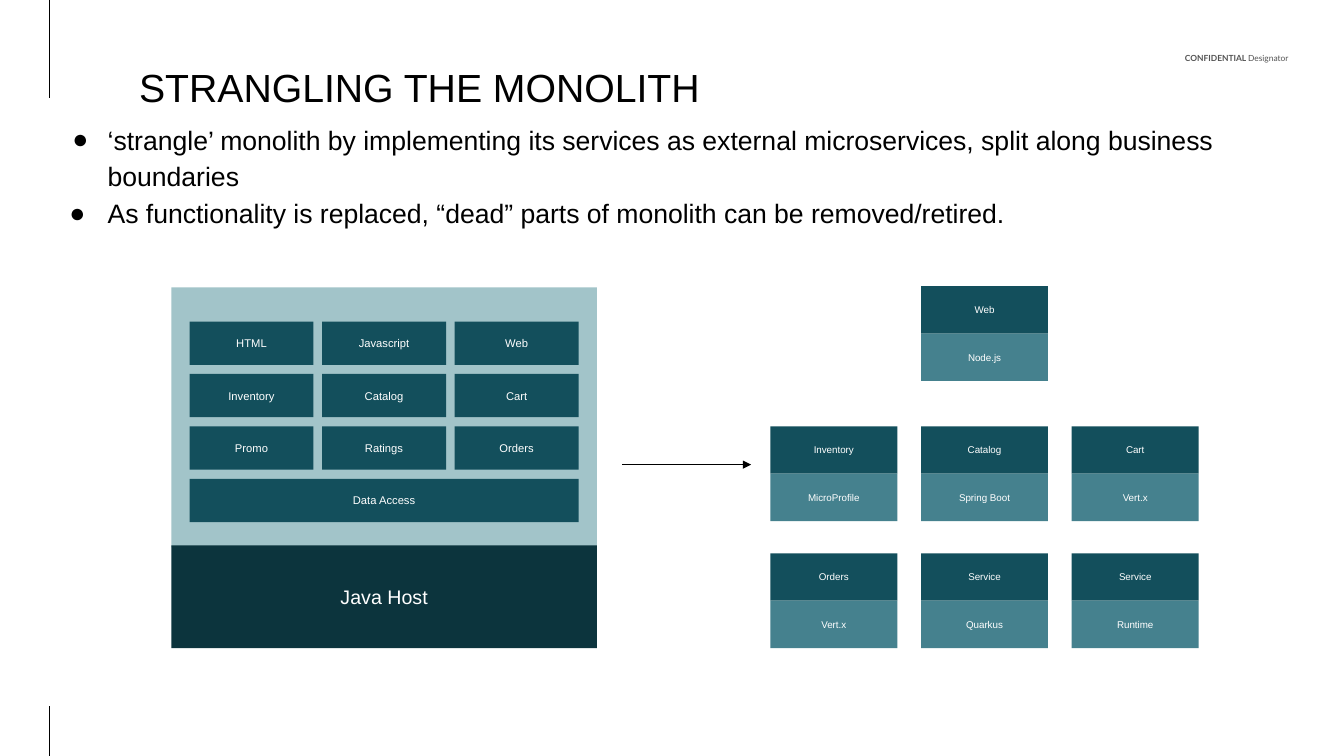
from lxml.etree import SubElement
from pptx import Presentation
from pptx.dml.color import RGBColor
from pptx.enum.shapes import MSO_CONNECTOR as Connector, MSO_SHAPE as Shape
from pptx.enum.text import MSO_ANCHOR as Anchor, MSO_AUTO_SIZE as AutoSize, PP_ALIGN as Align
from pptx.oxml.ns import qn
from pptx.util import Inches, Pt

TITLE = "STRANGLING THE MONOLITH"
BULLETS = [
    ("‘strangle’ monolith by implementing its services as external microservices, "
     "split along business boundaries", 0.35),
    ("As functionality is replaced, “dead” parts of monolith can be removed/retired.", 0.38),
]
MARKING = [("CONFIDENTIAL ", True), ("Designator", False)]
MODULES = [
    ["HTML", "Javascript", "Web"],
    ["Inventory", "Catalog", "Cart"],
    ["Promo", "Ratings", "Orders"],
]
DATA_LAYER = "Data Access"
PLATFORM = "Java Host"
SERVICES = [
    (2.84, [None, ("Web", "Node.js"), None]),
    (4.23, [("Inventory", "MicroProfile"), ("Catalog", "Spring Boot"), ("Cart", "Vert.x")]),
    (5.49, [("Orders", "Vert.x"), ("Service", "Quarkus"), ("Service", "Runtime")]),
]

BLACK = RGBColor(0x00, 0x00, 0x00)
WHITE = RGBColor(0xFF, 0xFF, 0xFF)
GRAY = RGBColor(0x53, 0x53, 0x53)
DARK = RGBColor(0x0C, 0x34, 0x3D)
TEAL = RGBColor(0x13, 0x4F, 0x5C)
MEDIUM = RGBColor(0x45, 0x81, 0x8E)
PALE = RGBColor(0xA2, 0xC4, 0xC9)

MODULE_LEFT, MODULE_TOP, MODULE_WIDTH, MODULE_HEIGHT = 1.88, 3.19, 1.23, 0.43
MODULE_SPAN, MODULE_ROW_STEP = 3.86, 0.52
MODULE_STEP = (MODULE_SPAN - MODULE_WIDTH) / 2
SERVICE_LEFT, SERVICE_WIDTH, SERVICE_HEIGHT, SERVICE_SPAN = 7.64, 1.26, 0.47, 4.25
SERVICE_STEP = (SERVICE_SPAN - SERVICE_WIDTH) / 2


def set_frame(frame, anchor, inset=0.1):
    frame.word_wrap = True
    frame.auto_size = AutoSize.NONE
    frame.vertical_anchor = anchor
    frame.margin_left = frame.margin_right = Inches(inset)
    frame.margin_top = frame.margin_bottom = Inches(inset)


def add_span(para, text, size, color, font="Arial", bold=False):
    span = para.add_run()
    span.text = text
    span.font.size = Pt(size)
    span.font.name = font
    span.font.bold = bold
    span.font.color.rgb = color


def add_box(shapes, left, top, width, height, fill, text=None, size=8):
    box = shapes.add_shape(Shape.RECTANGLE, Inches(left), Inches(top), Inches(width), Inches(height))
    box.shadow.inherit = False
    box.fill.solid()
    box.fill.fore_color.rgb = fill
    box.line.fill.background()
    if text:
        set_frame(box.text_frame, Anchor.MIDDLE)
        para = box.text_frame.paragraphs[0]
        para.alignment = Align.CENTER
        add_span(para, text, size, WHITE)


def add_line(shapes, x1, y1, x2, y2, arrow=False):
    line = shapes.add_connector(Connector.STRAIGHT, Inches(x1), Inches(y1), Inches(x2), Inches(y2))
    line.line.color.rgb = BLACK
    line.line.width = Pt(0.75)
    if arrow:
        SubElement(line.line._get_or_add_ln(), qn("a:tailEnd"), type="triangle")
    SubElement(line._element.spPr, qn("a:effectLst"))


def add_bullet(para, hanging):
    props = para._p.get_or_add_pPr()
    props.set("marL", str(Inches(0.5)))
    props.set("indent", str(-Inches(hanging)))
    color = SubElement(props, qn("a:buClr"))
    SubElement(color, qn("a:srgbClr"), val=str(BLACK))
    SubElement(props, qn("a:buFont"), typeface="Arial")
    SubElement(props, qn("a:buChar"), char="●")


def add_header(page):
    add_line(page.shapes, 0.49, 0.97, 0.49, 0)
    add_line(page.shapes, 0.49, 7.5, 0.49, 7)

    marking = page.shapes.add_textbox(Inches(11.01), Inches(0.3), Inches(1.77), Inches(0.33))
    set_frame(marking.text_frame, Anchor.BOTTOM, 0)
    para = marking.text_frame.paragraphs[0]
    para.alignment = Align.RIGHT
    para.line_spacing = 1.5
    for text, bold in MARKING:
        add_span(para, text, 6, GRAY, "Lato", bold)

    title = page.shapes.title
    title.left, title.top = Inches(1.28), Inches(-0.42)
    title.width, title.height = Inches(11.38), Inches(1.62)
    set_frame(title.text_frame, Anchor.BOTTOM)
    para = title.text_frame.paragraphs[0]
    para.alignment = Align.LEFT
    add_span(para, TITLE, 28, BLACK)


def add_bullets(page):
    body = page.shapes.add_textbox(Inches(0.47), Inches(1.08), Inches(12.27), Inches(5.01))
    frame = body.text_frame
    set_frame(frame, Anchor.TOP)
    for index, (text, hanging) in enumerate(BULLETS):
        para = frame.add_paragraph() if index else frame.paragraphs[0]
        add_bullet(para, hanging)
        para.line_spacing = 1.15
        add_span(para, text, 19, BLACK)


def add_services(page):
    for top, row in SERVICES:
        for column, service in enumerate(row):
            if service:
                left = SERVICE_LEFT + column * SERVICE_STEP
                for level, (text, fill) in enumerate(zip(service, (TEAL, MEDIUM))):
                    add_box(page.shapes, left, top + level * SERVICE_HEIGHT,
                            SERVICE_WIDTH, SERVICE_HEIGHT, fill, text, 7)


def add_monolith(page):
    shapes = page.shapes.add_group_shape().shapes
    add_box(shapes, 1.7, 2.85, 4.22, 2.58, PALE)
    add_box(shapes, 1.7, 5.41, 4.22, 1.02, DARK, PLATFORM, 14)
    for row, names in enumerate(MODULES):
        for column, name in enumerate(names):
            add_box(shapes, MODULE_LEFT + column * MODULE_STEP, MODULE_TOP + row * MODULE_ROW_STEP,
                    MODULE_WIDTH, MODULE_HEIGHT, TEAL, name)
    add_box(shapes, MODULE_LEFT, MODULE_TOP + len(MODULES) * MODULE_ROW_STEP,
            MODULE_SPAN, MODULE_HEIGHT, TEAL, DATA_LAYER)


def main():
    deck = Presentation()
    deck.slide_width, deck.slide_height = Inches(13.33), Inches(7.5)
    page = deck.slides.add_slide(deck.slide_layouts[5])
    add_header(page)
    add_bullets(page)
    add_services(page)
    add_line(page.shapes, 6.17, 4.61, 7.45, 4.61, arrow=True)
    add_monolith(page)
    deck.save("out.pptx")


if __name__ == "__main__":
    main()
